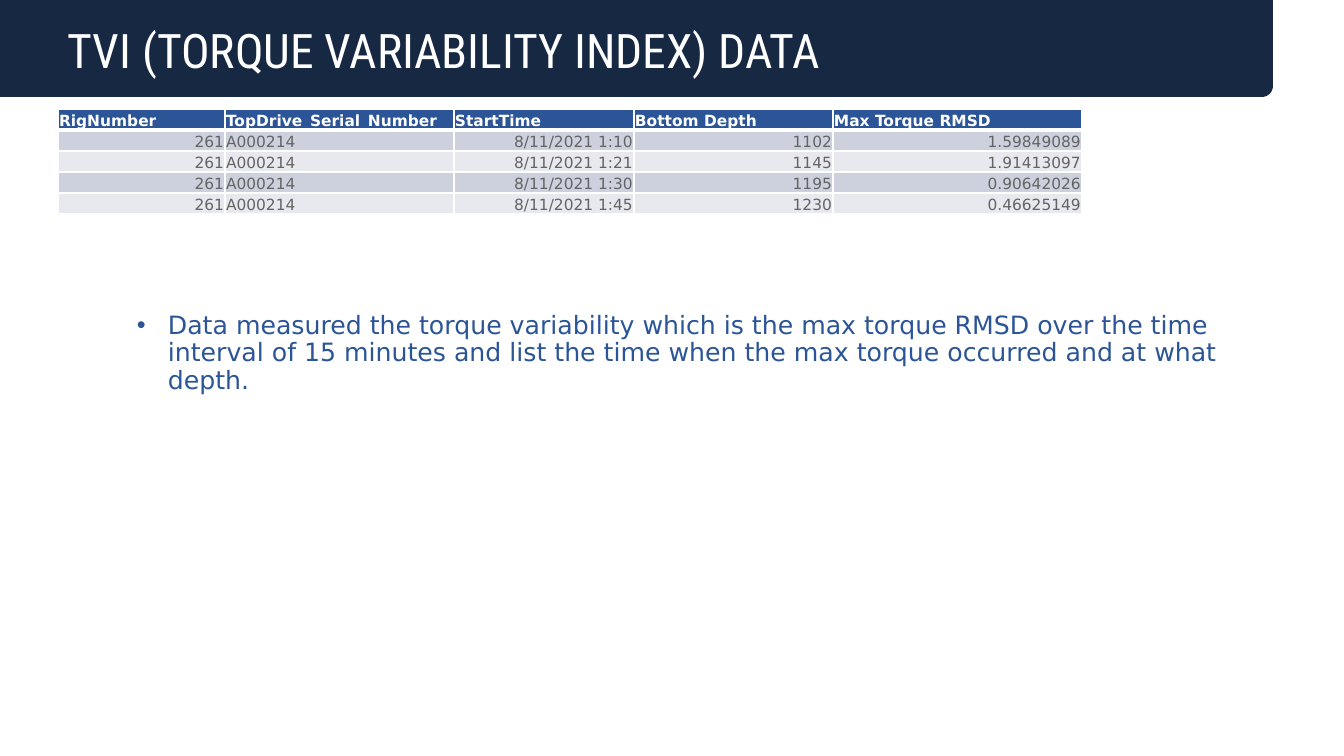
from math import cos, pi, sin

from lxml.etree import SubElement
from pptx import Presentation
from pptx.dml.color import RGBColor
from pptx.enum.text import MSO_ANCHOR, PP_ALIGN
from pptx.oxml.ns import qn
from pptx.util import Pt

SCALE = 914400 / 100.8
WHITE = RGBColor(0xFF, 0xFF, 0xFF)
NAVY = RGBColor(0x17, 0x28, 0x43)
BLUE = RGBColor(0x2B, 0x55, 0x97)
GRAY = RGBColor(0x64, 0x64, 0x64)
BANDS = RGBColor(0xCD, 0xD1, 0xDD), RGBColor(0xE8, 0xE9, 0xEF)
HEAD = ["RigNumber", "TopDrive_Serial_Number", "StartTime", "Bottom Depth", "Max Torque RMSD"]
READS = [
    ("8/11/2021 1:10", "1102", "1.59849089"),
    ("8/11/2021 1:21", "1145", "1.91413097"),
    ("8/11/2021 1:30", "1195", "0.90642026"),
    ("8/11/2021 1:45", "1230", "0.46625149"),
]


def emu(px):
    """Turn px into EMU."""
    return round(px * SCALE)


class Deck:
    """Holds the style and the current slide."""

    title_font = "Roboto Condensed"
    body_font = "DejaVu Sans"

    def __init__(self, wide, high):
        """Start a deck with one blank slide."""
        self.show = Presentation()
        self.show.slide_width, self.show.slide_height = emu(wide), emu(high)
        self.slide = self.show.slides.add_slide(self.show.slide_layouts[6])

    def banner(self, wide, high, curve):
        """Draw a bar with a rounded lower right corner."""
        turns = [pi / 2 * step / 12 for step in range(13)]
        arc = [(emu(wide - curve + curve * cos(t)), emu(high - curve + curve * sin(t))) for t in turns]
        pen = self.slide.shapes.build_freeform(0, 0)
        pen.add_line_segments([(emu(wide), 0), *arc, (0, emu(high))])
        bar = pen.convert_to_shape()
        bar.shadow.inherit = False
        bar.fill.solid()
        bar.fill.fore_color.rgb = NAVY
        bar.line.fill.background()

    def run(self, para, text, size, color, font, bold=False):
        """Add one styled run."""
        run = para.add_run()
        run.text = text
        run.font.size, run.font.name, run.font.bold = Pt(size), font, bold
        run.font.color.rgb = color

    def text(self, box, text, size, color, font, anchor=MSO_ANCHOR.TOP, indent=0):
        """Add a text box, with a bullet when indented."""
        frame = self.slide.shapes.add_textbox(*map(emu, box)).text_frame
        frame.word_wrap = True
        frame.vertical_anchor = anchor
        para = frame.paragraphs[0]
        para.line_spacing = 0.9
        if indent:
            props = para._p.get_or_add_pPr()
            props.set("marL", str(emu(indent)))
            props.set("indent", str(-emu(indent)))
            SubElement(props, qn("a:buFont"), typeface="Arial")
            SubElement(props, qn("a:buChar"), char="•")
        self.run(para, text, size, color, font)

    def edge(self, cell, top, base):
        """Draw the white borders of a cell."""
        props = cell._tc.get_or_add_tcPr()
        for spot, (side, width) in enumerate(zip("LRTB", (1, 1, top, base))):
            line = SubElement(props, qn("a:ln" + side), w=str(Pt(width)))
            fill = SubElement(line, qn("a:solidFill"))
            SubElement(fill, qn("a:srgbClr"), val=str(WHITE))
            props.insert(spot, line)

    def table(self, left, top, cols, high, rows):
        """Add a banded table with a header row."""
        box = map(emu, (left, top, sum(cols), high * len(rows)))
        grid = self.slide.shapes.add_table(len(rows), len(cols), *box).table
        for col, width in zip(grid.columns, cols):
            col.width = emu(width)
        for r, row in enumerate(rows):
            grid.rows[r].height = emu(high)
            for c, text in enumerate(row):
                cell = grid.cell(r, c)
                cell.margin_left = cell.margin_right = cell.margin_top = emu(1)
                cell.margin_bottom = 0
                cell.vertical_anchor = MSO_ANCHOR.BOTTOM
                cell.fill.solid()
                cell.fill.fore_color.rgb = BANDS[(r - 1) % 2] if r else BLUE
                self.edge(cell, 3 if r == 1 else 1, 1 if r else 3)
                para = cell.text_frame.paragraphs[0]
                para.alignment = PP_ALIGN.RIGHT if r and c != 1 else PP_ALIGN.LEFT
                self.run(para, text, 11, GRAY if r else WHITE, self.body_font, not r)


def main():
    """Build the slide."""
    deck = Deck(1344, 756)
    deck.banner(1273, 97, 11)
    deck.text((58, 17, 1064, 67), "TVI (TORQUE VARIABILITY INDEX) DATA", 34, WHITE,
              deck.title_font, MSO_ANCHOR.BOTTOM)
    deck.text((127, 308, 1146, 376),
              "Data measured the torque variability which is the max torque RMSD over the time "
              "interval of 15 minutes and list the time when the max torque occurred and at what depth.",
              18, BLUE, deck.body_font, indent=31)
    rows = [HEAD] + [("261", "A000214", *read) for read in READS]
    deck.table(58, 109, (167, 229, 180, 199, 249), 21, rows)
    deck.show.save("out.pptx")


if __name__ == "__main__":
    main()
